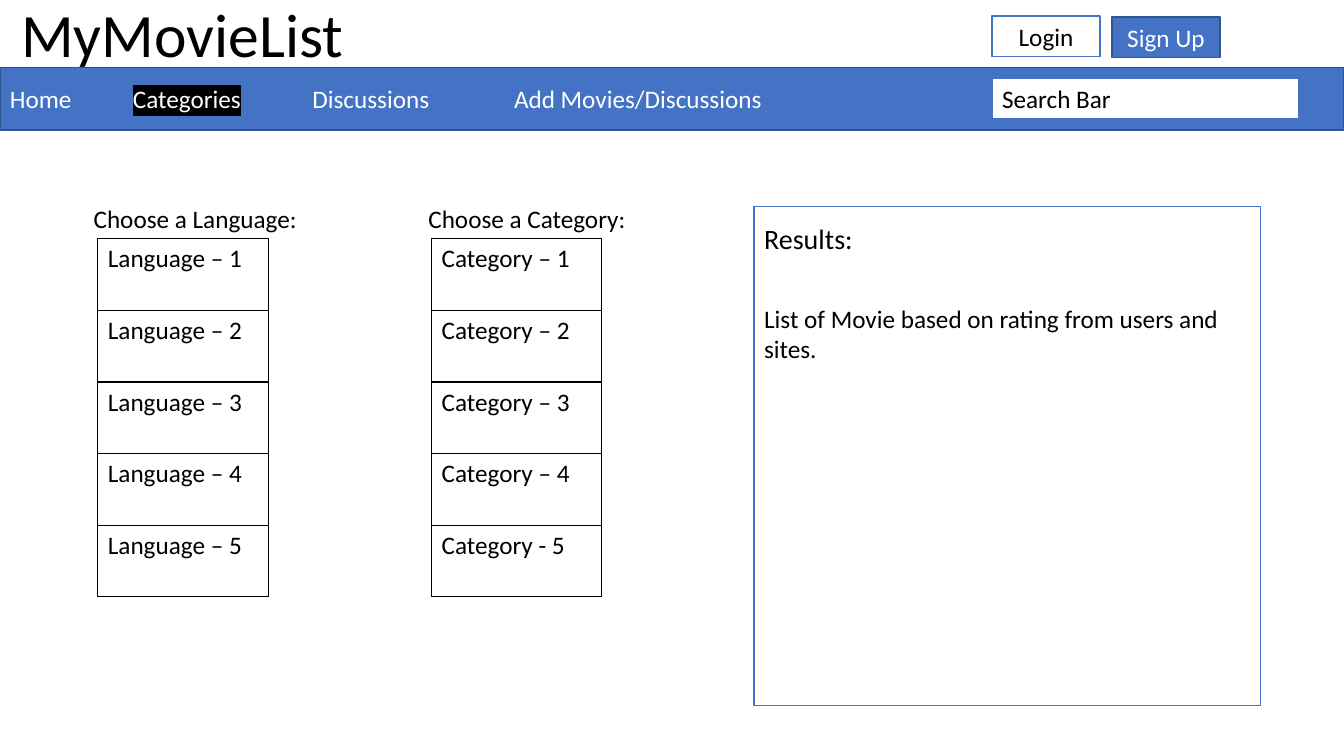
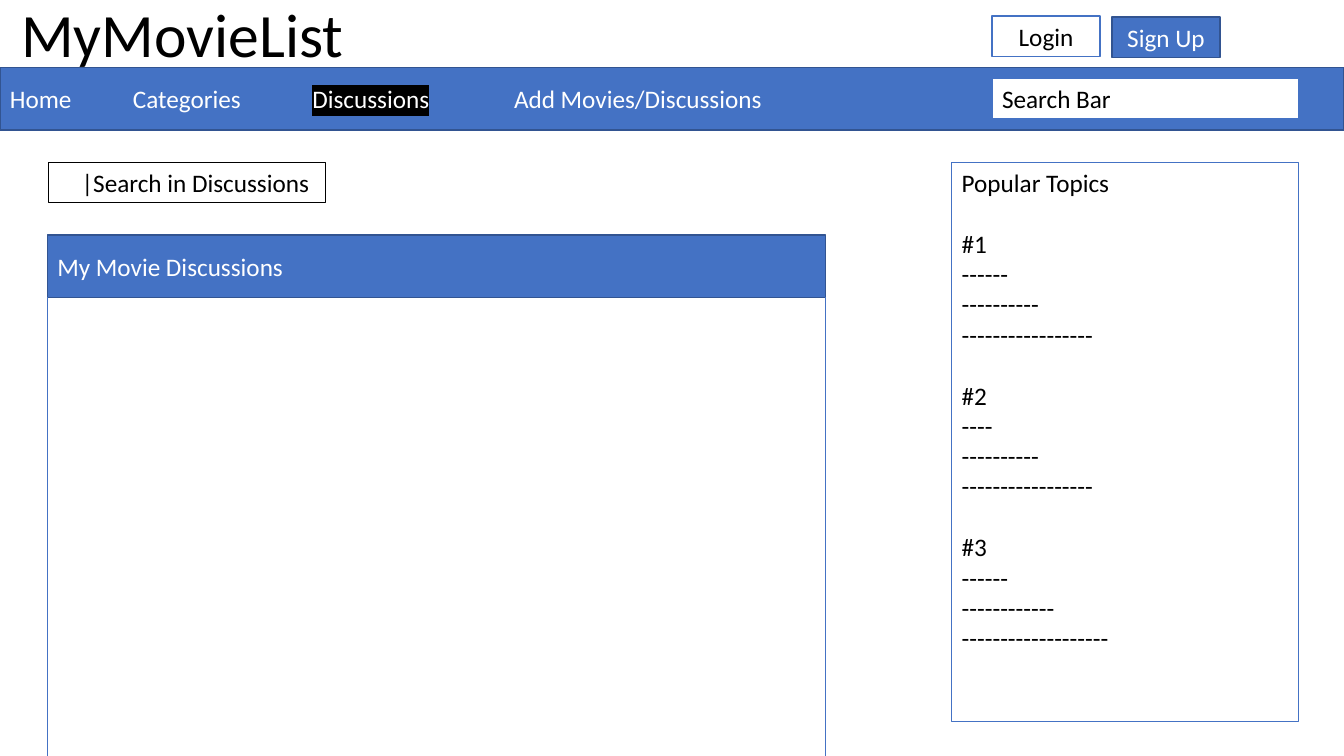
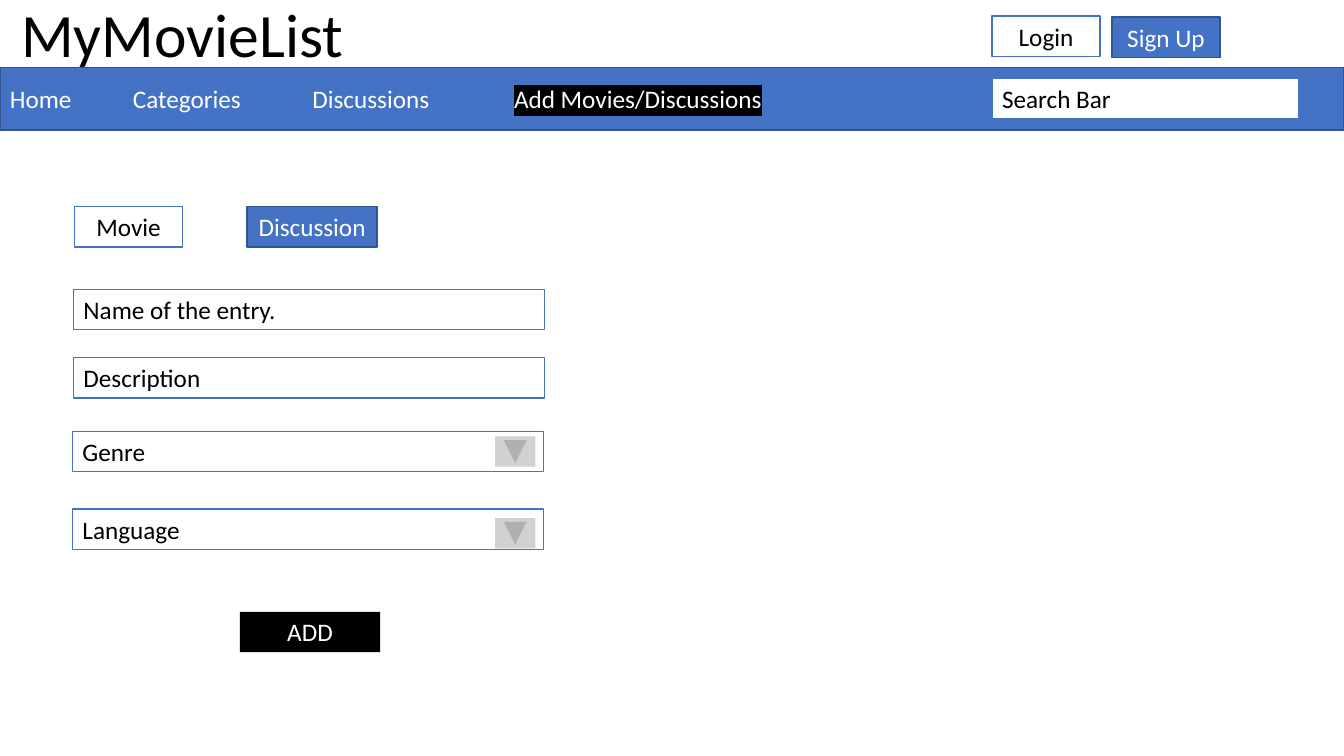
from lxml import etree
from pptx import Presentation
from pptx import util as u
from pptx.dml.color import RGBColor
from pptx.enum import shapes, text
from pptx.oxml import ns

# Shared look: 100 px to the inch
PX = 9144
WIDTH, HEIGHT = 1333, 750
FONT = "Calibri"
BLUE = RGBColor(0x44, 0x72, 0xC4)
DARK_BLUE = RGBColor(0x32, 0x54, 0x91)
GRAY = RGBColor(0xA5, 0xA5, 0xA5)
BLACK = RGBColor(0, 0, 0)
WHITE = RGBColor(0xFF, 0xFF, 0xFF)
CENTER, LEFT = text.PP_ALIGN.CENTER, text.PP_ALIGN.LEFT
TOP, MIDDLE = text.MSO_ANCHOR.TOP, text.MSO_ANCHOR.MIDDLE
FIELD_HEIGHT, BAR_HEIGHT = 40, 62

# Fill, line and text colour of each kind of box
OUTLINED = (WHITE, BLUE, BLACK)
FILLED = (BLUE, DARK_BLUE, WHITE)
SEARCH = (WHITE, BLACK, BLACK)
SUBMIT = (BLACK, None, WHITE)

# Content
SITE_NAME = "MyMovieList"
NAVIGATION = ["Home", "Categories", "Discussions", "Add Movies/Discussions"]
NAVIGATION_TABS = [122, 300, 500]

CHOICE_TOP, CHOICE_WIDTH, CHOICE_HEIGHT = 237, 169, 71
CHOICES = [
    (83, 97, "Choose a Language:",
     ["Language – 1", "Language – 2", "Language – 3", "Language – 4", "Language – 5"]),
    (415, 428, "Choose a Category:",
     ["Category – 1", "Category – 2", "Category – 3", "Category – 4", "Category - 5"]),
]
RESULTS = "List of Movie based on rating from users and sites."

# Dash counts of the lines under each topic
TOPICS = [("#1", (6, 10, 17)), ("#2", (4, 10, 17)), ("#3", (6, 12, 19))]

# Left, top, label, top of the drop-down arrow
ENTRY_FIELDS = [
    (73, 287, "Name of the entry.", None),
    (73, 355, "Description", None),
    (72, 428, "Genre", 428),
    (72, 505, "Language", 509),
]


def px(*lengths):
    return [u.Emu(length * PX) for length in lengths]


def style_paragraph(paragraph, color, size=18, align=LEFT):
    paragraph.alignment = align
    font = paragraph.font
    font.name, font.size = FONT, u.Pt(size)
    font.color.rgb = color


def write(shape, lines, color, size=18, align=LEFT, anchor=TOP, wrap=True):
    frame = shape.text_frame
    frame.word_wrap = wrap
    frame.vertical_anchor = anchor
    frame.text = "\n".join(lines)
    for paragraph in frame.paragraphs:
        style_paragraph(paragraph, color, size, align)
    return frame


def add_label(slide, at, label, **options):
    return write(slide.shapes.add_textbox(*px(*at)), [label], BLACK, **options)


def paint(shape, fill, line):
    shape.shadow.inherit = False
    shape.fill.solid()
    shape.fill.fore_color.rgb = fill
    if line is None:
        shape.line.fill.background()
    else:
        shape.line.color.rgb = line
        shape.line.width = u.Pt(1)


def add_box(slide, at, look, *lines, **options):
    fill, line, color = look
    shape = slide.shapes.add_shape(shapes.MSO_SHAPE.RECTANGLE, *px(*at))
    paint(shape, fill, line)
    return write(shape, lines, color, **options)


def add_color(parent, tag, color):
    element = etree.SubElement(parent, ns.qn(tag))
    return etree.SubElement(element, ns.qn("a:srgbClr"), val=str(color))


def add_navigation(slide, current):
    frame = add_box(slide, (0, 67, WIDTH, BAR_HEIGHT), FILLED, anchor=MIDDLE)
    paragraph = frame.paragraphs[0]
    for position, name in enumerate(NAVIGATION):
        if position:
            paragraph.add_run().text = "\t"
        run = paragraph.add_run()
        run.text = name
        if name == current:
            add_color(run._r.get_or_add_rPr(), "a:highlight", BLACK)
    properties = paragraph._p.get_or_add_pPr()
    tabs = etree.Element(ns.qn("a:tabLst"))
    for stop in NAVIGATION_TABS:
        etree.SubElement(tabs, ns.qn("a:tab"), pos=str(stop * PX), algn="l")
    properties.insert(0, tabs)


def add_page(presentation, current):
    slide = presentation.slides.add_slide(presentation.slide_layouts[6])
    add_label(slide, (-27, -9, 416, 84), SITE_NAME, size=44, align=CENTER)
    add_navigation(slide, current)
    add_box(slide, (984, 78, 304, FIELD_HEIGHT), OUTLINED, "Search Bar")
    add_box(slide, (984, 16, 107, FIELD_HEIGHT), OUTLINED, "Login", align=CENTER)
    add_box(slide, (1103, 17, 107, FIELD_HEIGHT), FILLED, "Sign Up", align=CENTER)
    return slide


def add_choice_table(slide, left, names):
    size = (CHOICE_WIDTH, CHOICE_HEIGHT * len(names))
    table = slide.shapes.add_table(len(names), 1, *px(left, CHOICE_TOP, *size)).table
    table.first_row = table.horz_banding = False
    for row, name in enumerate(names):
        cell = table.cell(row, 0)
        cell.text = name
        style_paragraph(cell.text_frame.paragraphs[0], BLACK)
        properties = cell._tc.get_or_add_tcPr()
        for side in ("L", "R", "T", "B"):
            border = etree.SubElement(properties, ns.qn("a:ln" + side), w=str(u.Pt(1)))
            add_color(border, "a:solidFill", BLACK)
        cell.fill.background()


def add_edge(slide, x, top, bottom):
    edge = slide.shapes.add_connector(
        shapes.MSO_CONNECTOR.STRAIGHT, *px(x, top, x, bottom))
    edge.line.color.rgb = BLUE
    edge.line.width = u.Pt(0.5)
    etree.SubElement(edge._element.spPr, ns.qn("a:effectLst"))


def add_dropdown_arrow(slide, top):
    arrow = slide.shapes.add_shape(
        shapes.MSO_SHAPE.ACTION_BUTTON_FORWARD_OR_NEXT, *px(496, top, 30, 40))
    arrow.rotation = 90
    paint(arrow, GRAY, None)
    color = arrow._element.spPr.find(".//" + ns.qn("a:srgbClr"))
    etree.SubElement(color, ns.qn("a:alpha"), val="50000")


def build_categories(presentation):
    slide = add_page(presentation, "Categories")
    for label_left, table_left, label, names in CHOICES:
        add_choice_table(slide, table_left, names)
        add_label(slide, (label_left, 197, 225, FIELD_HEIGHT), label)
    results = add_box(slide, (748, 205, 502, 495), OUTLINED, RESULTS)
    results.margin_top = px(96)[0]
    add_label(slide, (748, 215, 116, 44), "Results:", size=20, wrap=False)


def build_discussions(presentation):
    slide = add_page(presentation, "Discussions")
    search = add_box(slide, (48, 161, 275, FIELD_HEIGHT), SEARCH, "|Search in Discussions")
    search.margin_left = px(33)[0]

    # Discussion panel, open at the bottom
    left, top, width = 47, 233, 772
    add_box(slide, (left, top, width, BAR_HEIGHT), FILLED, "My Movie Discussions",
            anchor=MIDDLE)
    for x in (left, left + width):
        add_edge(slide, x, top + BAR_HEIGHT, HEIGHT)

    # Popular topics
    lines = ["Popular Topics"]
    for heading, dash_counts in TOPICS:
        lines += [heading] + ["-" * count for count in dash_counts]
    topics = add_box(slide, (944, 161, 344, 555), OUTLINED, *lines)
    for paragraph in topics.paragraphs:
        if paragraph.text.startswith("#"):
            paragraph.space_before = u.Pt(22)


def build_add_entry(presentation):
    slide = add_page(presentation, "Add Movies/Discussions")
    add_box(slide, (74, 205, 107, FIELD_HEIGHT), OUTLINED, "Movie", align=CENTER)
    add_box(slide, (245, 205, 129, FIELD_HEIGHT), FILLED, "Discussion", align=CENTER)
    for left, top, label, arrow_top in ENTRY_FIELDS:
        add_box(slide, (left, top, 467, FIELD_HEIGHT), OUTLINED, label)
        if arrow_top is not None:
            add_dropdown_arrow(slide, arrow_top)
    add_box(slide, (238, 607, 139, FIELD_HEIGHT), SUBMIT, "ADD", align=CENTER)


def main():
    presentation = Presentation()
    presentation.slide_width, presentation.slide_height = px(WIDTH, HEIGHT)
    for build in (build_categories, build_discussions, build_add_entry):
        build(presentation)
    presentation.save("out.pptx")


if __name__ == "__main__":
    main()
